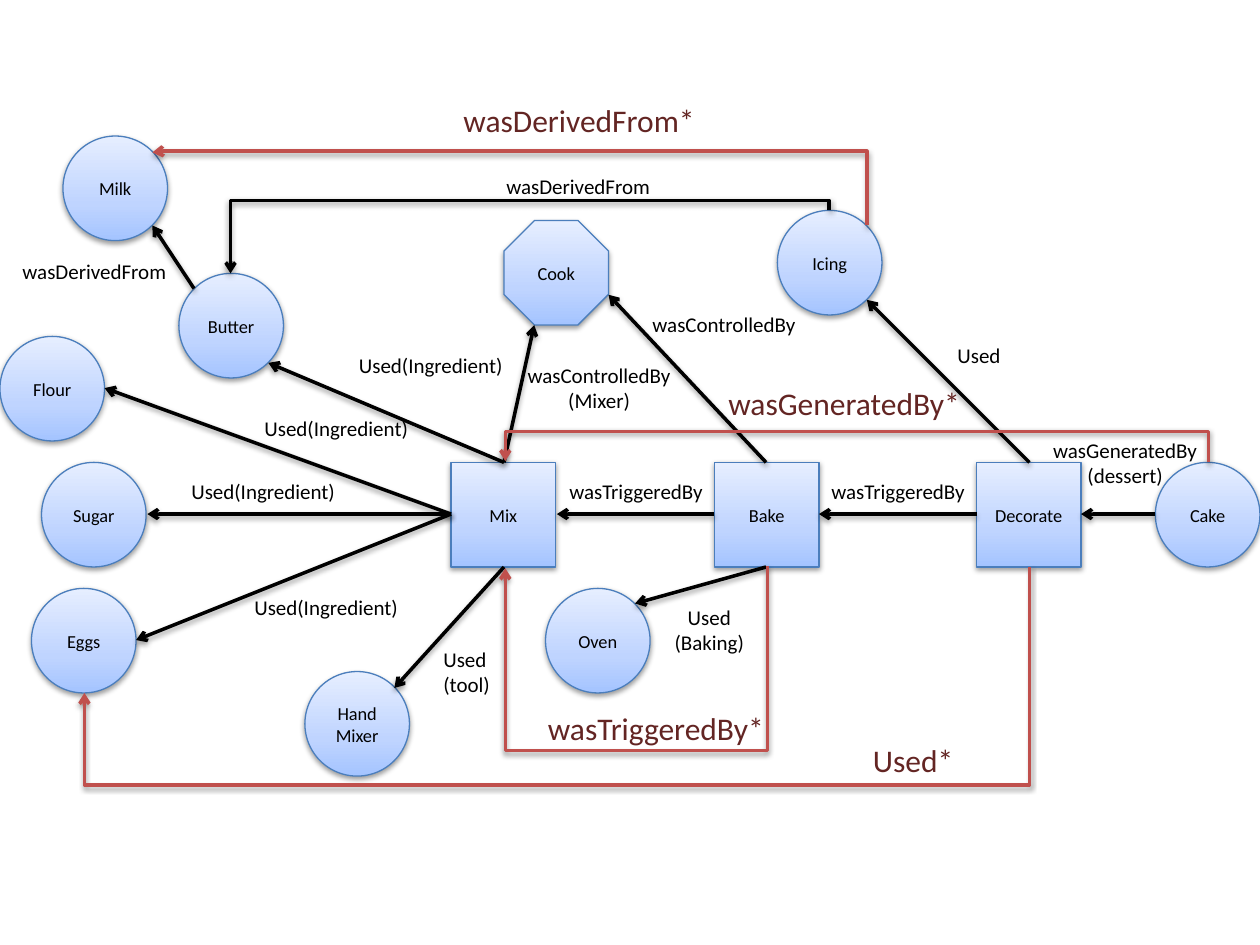
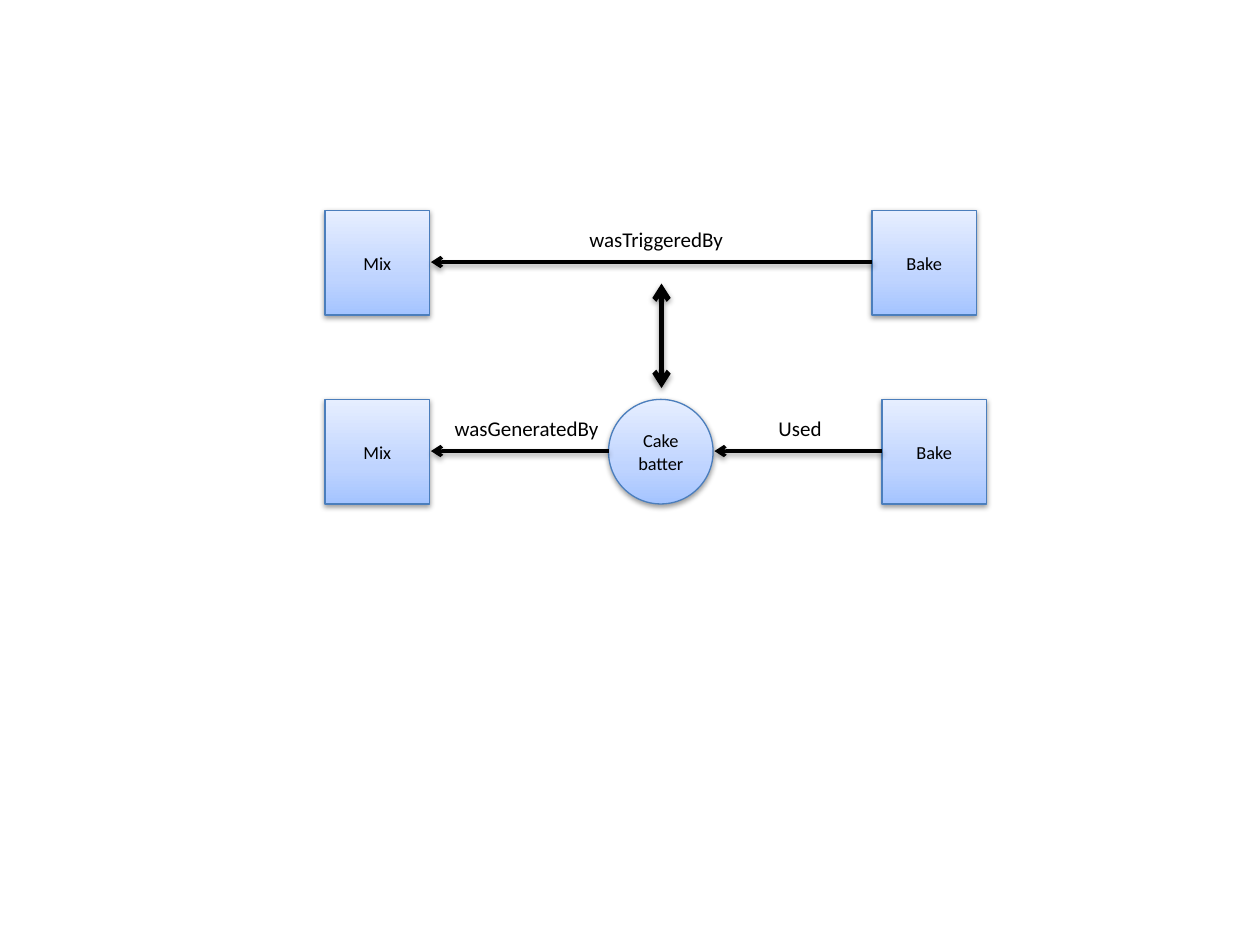
from dataclasses import dataclass

from pptx import Presentation
from pptx.dml.color import RGBColor
from pptx.enum.shapes import MSO_CONNECTOR, MSO_SHAPE
from pptx.enum.text import MSO_ANCHOR, MSO_AUTO_SIZE, PP_ALIGN
from pptx.oxml import parse_xml
from pptx.oxml.ns import nsdecls, qn
from pptx.util import Inches, Pt

CIRCLE, SQUARE, OCTAGON = MSO_SHAPE.OVAL, MSO_SHAPE.RECTANGLE, MSO_SHAPE.OCTAGON
STRAIGHT, ELBOW = MSO_CONNECTOR.STRAIGHT, MSO_CONNECTOR.ELBOW
LEFT, CENTER = PP_ALIGN.LEFT, PP_ALIGN.CENTER


@dataclass(frozen=True)
class Theme:
    font: str = "Calibri"
    ink: RGBColor = RGBColor(0x00, 0x00, 0x00)
    outline: RGBColor = RGBColor(0x4B, 0x7E, 0xBC)
    inferred_line: RGBColor = RGBColor(0xC0, 0x50, 0x4D)
    inferred_text: RGBColor = RGBColor(0x63, 0x25, 0x23)
    gradient: tuple = ((0, "A4C4FF"), (35, "BFD4FF"), (100, "E6EEFF"))
    node_size: float = 10.5
    label_size: float = 12
    inferred_size: float = 18
    node_side: float = 0.83


theme = Theme()


def add_shadow(item):
    properties = item._element.spPr
    for old in properties.findall(qn("a:effectLst")):
        properties.remove(old)
    properties.append(parse_xml(
        f'<a:effectLst {nsdecls("a")}><a:outerShdw blurRad="40000" dist="20000" '
        'dir="5400000" rotWithShape="0"><a:srgbClr val="000000">'
        '<a:alpha val="38000"/></a:srgbClr></a:outerShdw></a:effectLst>'))


def style_arrow(connector, color, width, ends):
    connector.line.color.rgb = color
    connector.line.width = Pt(width)
    outline = connector._element.spPr.find(qn("a:ln"))
    for end in ends:
        outline.append(parse_xml(f'<a:{end} {nsdecls("a")} type="arrow"/>'))
    add_shadow(connector)


recipe = {
    "nodes": [
        ("Cake", CIRCLE, 9.17, 3.67),
        ("Bake", SQUARE, 5.67, 3.67),
        ("Cook", OCTAGON, 4, 1.75),
        ("Mix", SQUARE, 3.58, 3.67),
        ("Milk", CIRCLE, 0.5, 1.08),
        ("Eggs", CIRCLE, 0.25, 4.67),
        ("Flour", CIRCLE, 0, 2.67),
        ("Butter", CIRCLE, 1.42, 2.17),
        ("Oven", CIRCLE, 4.33, 4.67),
        ("Sugar", CIRCLE, 0.33, 3.67),
        ("Icing", CIRCLE, 6.17, 1.67),
        ("Decorate", SQUARE, 7.75, 3.67),
        ("Hand Mixer", CIRCLE, 2.42, 5.33),
    ],
    "arrows": [
        (9.17, 4.08, 8.58, 4.08),
        (5.67, 4.08, 4.42, 4.08),
        (6.08, 3.67, 4.83, 2.34),
        (4, 3.67, 4.24, 2.58),
        (6.08, 4.5, 5.04, 4.79),
        (3.58, 4.08, 1.08, 5.08),
        (3.58, 4.08, 1.17, 4.08),
        (4, 3.67, 2.13, 2.88),
        (3.58, 4.08, 0.83, 3.08),
        (1.54, 2.29, 1.21, 1.79),
        (7.75, 4.08, 6.5, 4.08),
        (8.17, 3.67, 6.88, 2.38),
        (4, 4.5, 3.13, 5.46),
    ],
    "two_way_arrows": [],
    "detours": [
        (6.58, 1.67, 1.83, 2.17, 1.59, theme.ink),
        (6.88, 1.79, 1.21, 1.21, 1.2, theme.inferred_line),
        (6.09, 4.49, 4.01, 4.51, 5.95, theme.inferred_line),
        (8.17, 4.5, 0.67, 5.5, 6.23, theme.inferred_line),
        (9.59, 3.67, 4.01, 3.66, 3.42, theme.inferred_line),
    ],
    "labels": [
        ("wasTriggeredBy", 4.42, 3.75, 1.27, LEFT),
        ("wasControlledBy", 5.08, 2.42, 1.35, LEFT),
        ("wasControlledBy\n(Mixer)", 4.08, 2.83, 1.35, CENTER),
        ("Used(Ingredient)", 2.75, 2.75, 1.35, LEFT),
        ("Used\n(Baking)", 5.25, 4.75, 0.76, CENTER),
        ("wasGeneratedBy\n(dessert)", 8.25, 3.42, 1.36, CENTER),
        ("wasDerivedFrom", 0.08, 2, 1.35, LEFT),
        ("Used(Ingredient)", 1.92, 4.67, 1.35, LEFT),
        ("Used(Ingredient)", 2, 3.25, 1.35, LEFT),
        ("Used(Ingredient)", 1.42, 3.75, 1.35, LEFT),
        ("wasDerivedFrom", 3.92, 1.33, 1.35, LEFT),
        ("Used", 7.5, 2.67, 0.55, LEFT),
        ("wasTriggeredBy", 6.5, 3.75, 1.27, LEFT),
        ("wasDerivedFrom*", 3.58, 0.75, 2.06, LEFT),
        ("wasTriggeredBy*", 4.25, 5.58, 1.93, LEFT),
        ("Used*", 6.83, 5.83, 0.85, LEFT),
        ("wasGeneratedBy*", 5.67, 3, 2.06, CENTER),
        ("Used\n(tool)", 3.42, 5.08, 0.58, LEFT),
    ],
}

equivalence = {
    "nodes": [
        ("Mix", SQUARE, 2.58, 3.17),
        ("Bake", SQUARE, 7, 3.17),
        ("Cake batter", CIRCLE, 4.83, 3.17),
        ("Mix", SQUARE, 2.58, 1.67),
        ("Bake", SQUARE, 6.92, 1.67),
    ],
    "arrows": [
        (4.83, 3.58, 3.42, 3.58),
        (7, 3.58, 5.67, 3.58),
        (6.92, 2.08, 3.42, 2.08),
    ],
    "two_way_arrows": [(5.25, 2.25, 5.25, 3.08)],
    "detours": [],
    "labels": [
        ("wasGeneratedBy", 3.5, 3.25, 1.36, CENTER),
        ("Used", 6.08, 3.25, 0.55, LEFT),
        ("wasTriggeredBy", 4.58, 1.75, 1.27, LEFT),
    ],
}

deck = Presentation()
deck.slide_width, deck.slide_height = Inches(10), Inches(7.5)
stops = "".join(
    f'<a:gs pos="{place * 1000}"><a:srgbClr val="{color}"/></a:gs>'
    for place, color in theme.gradient)

for diagram in (recipe, equivalence):
    slide = deck.slides.add_slide(deck.slide_layouts[6])

    for name, kind, left, top in diagram["nodes"]:
        side = Inches(theme.node_side)
        node = slide.shapes.add_shape(kind, Inches(left), Inches(top), side, side)
        node._element.spPr.find(qn("a:prstGeom")).addnext(parse_xml(
            f'<a:gradFill {nsdecls("a")} rotWithShape="1"><a:gsLst>{stops}</a:gsLst>'
            '<a:lin ang="16200000" scaled="0"/></a:gradFill>'))
        node.line.color.rgb = theme.outline
        node.line.width = Pt(0.75)
        add_shadow(node)
        node.text_frame.text = name
        node.text_frame.vertical_anchor = MSO_ANCHOR.MIDDLE
        para = node.text_frame.paragraphs[0]
        para.alignment = CENTER
        para.font.name = theme.font
        para.font.size = Pt(theme.node_size)
        para.font.color.rgb = theme.ink

    for points in diagram["arrows"]:
        arrow = slide.shapes.add_connector(STRAIGHT, *map(Inches, points))
        style_arrow(arrow, theme.ink, 2, ["tailEnd"])

    for points in diagram["two_way_arrows"]:
        arrow = slide.shapes.add_connector(STRAIGHT, *map(Inches, points))
        style_arrow(arrow, theme.ink, 3, ["headEnd", "tailEnd"])

    for start_x, start_y, end_x, end_y, bend_y, color in diagram["detours"]:
        width, height = abs(end_y - start_y), start_x - end_x
        left = (start_x + end_x - width) / 2
        top = (start_y + end_y - height) / 2
        detour = slide.shapes.add_connector(
            ELBOW, *map(Inches, (left, top, left + width, top + height)))
        frame = detour._element.spPr.find(qn("a:xfrm"))
        if bend_y < start_y:
            frame.set("rot", "16200000")
            frame.set("flipV", "1")
            if end_y > start_y:
                frame.set("flipH", "1")
        else:
            frame.set("rot", "5400000")
        bend = round((bend_y - start_y) / (end_y - start_y) * 100000)
        geometry = detour._element.spPr.find(qn("a:prstGeom"))
        geometry.find(qn("a:avLst")).append(
            parse_xml(f'<a:gd {nsdecls("a")} name="adj1" fmla="val {bend}"/>'))
        style_arrow(detour, color, 2, ["tailEnd"])

    for text, left, top, width, alignment in diagram["labels"]:
        inferred = text.endswith("*")
        height = 0.4 if inferred else 0.5 if "\n" in text else 0.3
        box = slide.shapes.add_textbox(*map(Inches, (left, top, width, height)))
        box.text_frame.word_wrap = False
        box.text_frame.auto_size = MSO_AUTO_SIZE.SHAPE_TO_FIT_TEXT
        box.text_frame.text = text
        for para in box.text_frame.paragraphs:
            para.alignment = alignment
            para.font.name = theme.font
            para.font.size = Pt(theme.inferred_size if inferred else theme.label_size)
            para.font.color.rgb = theme.inferred_text if inferred else theme.ink

deck.save("out.pptx")
